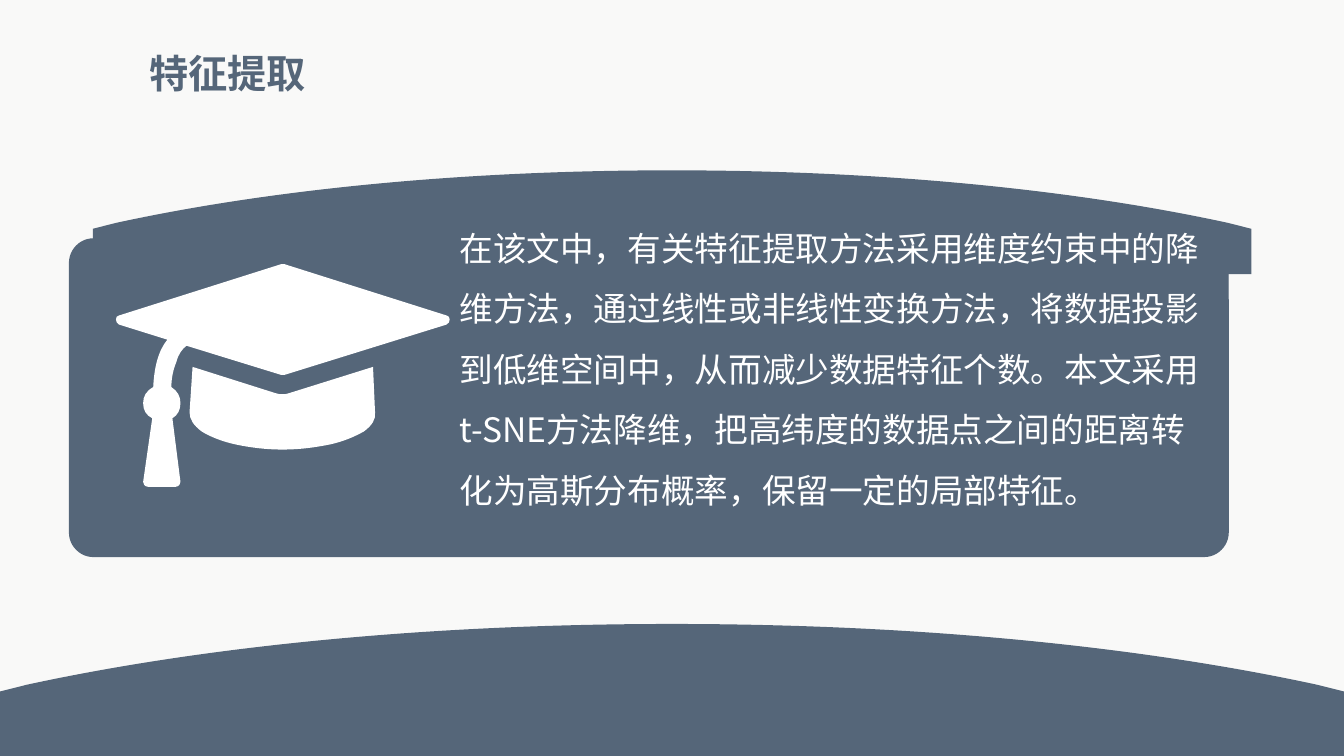
from lxml import etree
from pptx import Presentation, util as u
from pptx.dml.color import RGBColor
from pptx.enum import lang, shapes, text
from pptx.oxml.ns import qn

SLATE, WHITE, PAPER = "556679", "FFFFFF", "F9F9F8"
CJK_FONT = "Noto Sans CJK JP"

# Each outline starts with a point; then 2 numbers are a line, 6 a Bézier curve.
CAP_BOARD_AND_TASSEL = [
    (4.46, 3.17), (4.46, 3.19, 4.45, 3.21, 4.43, 3.22),
    (2.82, 3.72), (2.81, 3.72, 2.81, 3.72, 2.8, 3.72),
    (2.8, 3.72, 2.79, 3.72, 2.79, 3.72), (1.85, 3.43),
    (1.81, 3.46, 1.77, 3.51, 1.75, 3.59), (1.72, 3.66, 1.7, 3.75, 1.7, 3.84),
    (1.76, 3.88, 1.79, 3.93, 1.79, 4), (1.79, 4.07, 1.76, 4.12, 1.71, 4.15),
    (1.79, 4.78), (1.79, 4.79, 1.79, 4.8, 1.78, 4.81),
    (1.77, 4.82, 1.76, 4.83, 1.74, 4.83),
    (1.47, 4.83), (1.45, 4.83, 1.44, 4.82, 1.43, 4.81),
    (1.42, 4.8, 1.42, 4.79, 1.42, 4.78),
    (1.51, 4.15), (1.45, 4.12, 1.42, 4.07, 1.42, 4),
    (1.42, 3.93, 1.45, 3.88, 1.52, 3.84), (1.53, 3.64, 1.57, 3.48, 1.66, 3.37),
    (1.18, 3.22), (1.16, 3.21, 1.15, 3.19, 1.15, 3.17),
    (1.15, 3.15, 1.16, 3.13, 1.18, 3.13),
    (2.79, 2.62), (2.79, 2.62, 2.8, 2.62, 2.8, 2.62),
    (2.81, 2.62, 2.81, 2.62, 2.82, 2.62), (4.43, 3.13),
    (4.45, 3.13, 4.46, 3.15, 4.46, 3.17),
]
CAP_CROWN = [
    (3.7, 3.64), (3.72, 4.09), (3.73, 4.16, 3.69, 4.22, 3.61, 4.28),
    (3.52, 4.33, 3.41, 4.38, 3.27, 4.41), (3.12, 4.44, 2.97, 4.46, 2.8, 4.46),
    (2.64, 4.46, 2.48, 4.44, 2.34, 4.41), (2.2, 4.38, 2.08, 4.33, 2, 4.28),
    (1.92, 4.22, 1.88, 4.16, 1.88, 4.09), (1.91, 3.64),
    (2.73, 3.9), (2.75, 3.91, 2.78, 3.91, 2.8, 3.91),
    (2.83, 3.91, 2.85, 3.91, 2.87, 3.9), (3.7, 3.64),
]


def color(value):
    return RGBColor.from_string(value)


def points_of(step):
    """Split the numbers of a step into points in EMU."""
    return [(u.Inches(x), u.Inches(y)) for x, y in zip(step[::2], step[1::2])]


def bend_curves(shape, outlines):
    """Join the three line segments of each curve into one Bézier segment."""
    segments = shape._element.iter(qn("a:moveTo"), qn("a:lnTo"))
    segments = iter(list(segments))
    for step in (step for outline in outlines for step in outline):
        parts = [next(segments) for _ in points_of(step)]
        if len(parts) == 3:
            parts[0].addprevious(curve := etree.Element(qn("a:cubicBezTo")))
            for part in parts:
                curve.append(part[0])
                part.getparent().remove(part)


class SlideBuilder:
    def __init__(self, slide):
        self.slide = slide
        slide.background.fill.solid()
        slide.background.fill.fore_color.rgb = color(PAPER)

    def paint(self, shape, fill, outlined=False):
        shape.shadow.inherit = False
        shape.fill.solid()
        shape.fill.fore_color.rgb = color(fill)
        if outlined:
            shape.line.color.rgb = color(fill)
            shape.line.width = u.Pt(1)
        else:
            shape.line.fill.background()

    def outline(self, outlines, fill):
        first, *others = [
            [point for step in outline for point in points_of(step)]
            for outline in outlines]
        builder = self.slide.shapes.build_freeform(*first[0], scale=1.0)
        builder.add_line_segments(first[1:], close=True)
        for points in others:
            builder.move_to(*points[0])
            builder.add_line_segments(points[1:], close=True)
        shape = builder.convert_to_shape()
        bend_curves(shape, outlines)
        self.paint(shape, fill)

    def arch(self, left, top, width, height, drop):
        """Draw a block with an arched top whose ends lie drop below its crest."""
        middle, half = left + width / 2, width / 2
        right, bottom, edge = left + width, top + height, top + drop
        shoulder, bend = top + 0.9 * drop, top + 0.34 * drop
        near, far, end = 0.37 * half, 0.7 * half, 0.96 * half
        self.outline([[
            (left, bottom), (right, bottom), (right, edge),
            (middle + end, shoulder),
            (middle + far, bend, middle + near, top, middle, top),
            (middle - near, top, middle - far, bend, middle - end, shoulder),
            (left, edge),
        ]], SLATE)

    def panel(self, left, top, width, height):
        panel = self.slide.shapes.add_shape(
            shapes.MSO_SHAPE.ROUNDED_RECTANGLE,
            *map(u.Inches, (left, top, width, height)))
        panel.adjustments[0] = 0.076
        self.paint(panel, SLATE, outlined=True)

    def text(self, left, top, width, height, words, size, font, fill, bold=False):
        box = self.slide.shapes.add_textbox(
            *map(u.Inches, (left, top, width, height)))
        frame = box.text_frame
        frame.word_wrap = True
        frame.auto_size = text.MSO_AUTO_SIZE.SHAPE_TO_FIT_TEXT
        frame.text = words
        para = frame.paragraphs[0]
        para.line_spacing = 1.5
        span = para.runs[0]
        span.font.name, span.font.size = font, u.Pt(size)
        span.font.bold = bold
        span.font.color.rgb = color(fill)
        span.font.language_id = lang.MSO_LANGUAGE_ID.SIMPLIFIED_CHINESE
        etree.SubElement(span.font._element, qn("a:ea"), typeface=CJK_FONT)


def main():
    deck = Presentation()
    deck.slide_width, deck.slide_height = u.Inches(13.33), u.Inches(7.5)
    page = SlideBuilder(deck.slides.add_slide(deck.slide_layouts[6]))

    page.arch(0.92, 1.69, 11.49, 1.03, drop=0.58)
    page.panel(0.69, 2.37, 11.49, 3.15)
    page.text(1.38, 0.21, 5.05, 0.74, "特征提取", 28, "Lato", SLATE, bold=True)
    page.text(
        4.46, 2.01, 7.64, 3.63,
        "在该文中，有关特征提取方法采用维度约束中的降维方法，"
        "通过线性或非线性变换方法，将数据投影到低维空间中，"
        "从而减少数据特征个数。本文采用t-SNE方法降维，"
        "把高纬度的数据点之间的距离转化为高斯分布概率，保留一定的局部特征。",
        24, CJK_FONT, WHITE)
    page.outline([CAP_BOARD_AND_TASSEL, CAP_CROWN], WHITE)
    page.arch(0, 6.19, 13.33, 1.31, drop=0.67)

    deck.save("out.pptx")


if __name__ == "__main__":
    main()
